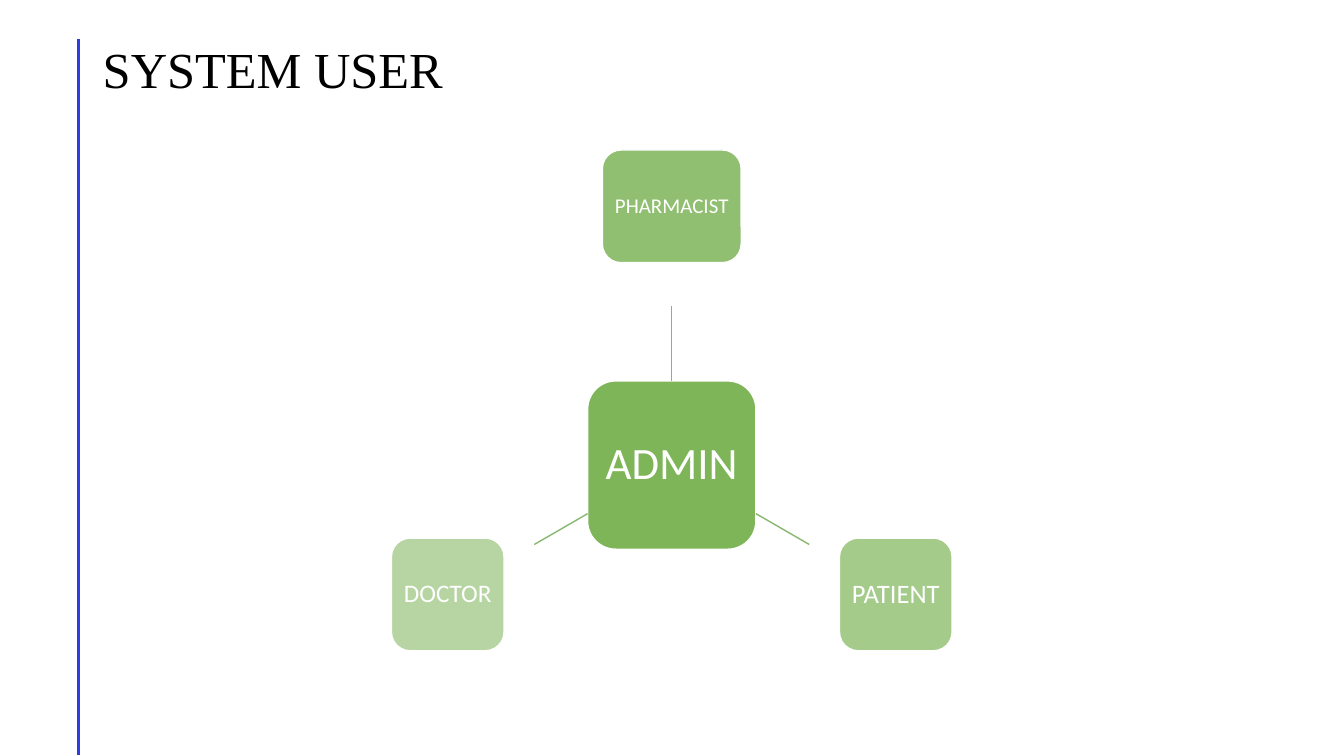
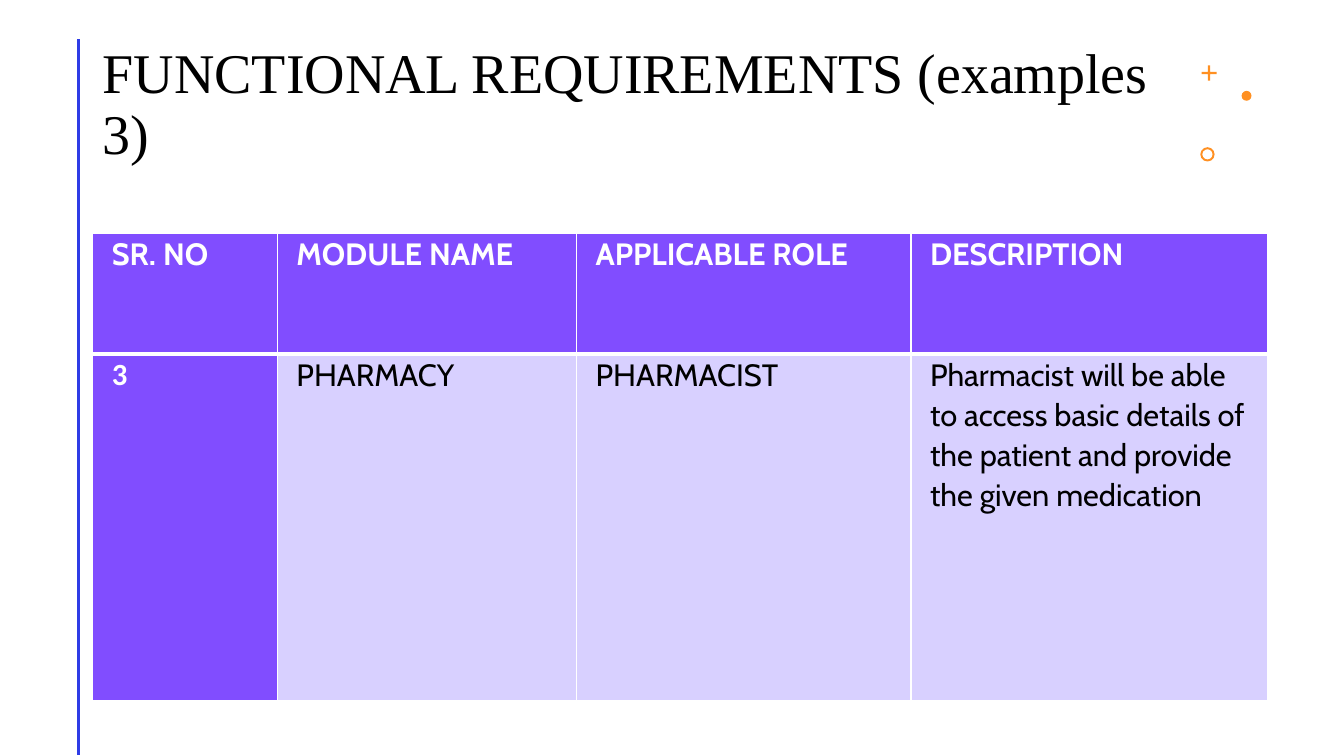
from dataclasses import dataclass
from math import cos, radians, sin

from lxml.etree import SubElement
from pptx import Presentation
from pptx.dml.color import RGBColor
from pptx.enum.shapes import MSO_AUTO_SHAPE_TYPE as Preset, MSO_CONNECTOR as Connector
from pptx.enum.text import MSO_ANCHOR as Anchor, PP_ALIGN as Align
from pptx.oxml.ns import qn
from pptx.shapes.autoshape import Shape
from pptx.slide import Slide
from pptx.table import _Cell as Cell
from pptx.text.text import TextFrame
from pptx.util import Cm, Pt


@dataclass(frozen=True)
class Theme:
    rule: str = "2E3CE6"
    accent: str = "FF9022"
    node: str = "70AD47"
    spoke: str = "88B76F"
    header: str = "814DFF"
    body: str = "D8D0FF"
    ink: str = "000000"
    paper: str = "FFFFFF"
    title_font: str = "Times New Roman"
    node_font: str = "Calibri"
    table_font: str = "Cabin"
    title_size: int = 36
    long_title_size: int = 40
    hub_size: int = 32
    table_size: int = 22


@dataclass(frozen=True)
class Satellite:
    label: str
    angle: int
    width: float
    size: int
    opacity: int


@dataclass(frozen=True)
class Ornament:
    preset: Preset
    left: float
    top: float
    size: float
    adjustment: float | None = None


THEME = Theme()

HUB_X, HUB_Y, HUB_SIDE = 16.93, 11.72, 4.24
ORBIT, SPOKE_END = 6.52, 4.0
SATELLITE_HEIGHT = 2.84
SATELLITES = [
    Satellite("PHARMACIST", -90, 3.5, 15, 77),
    Satellite("PATIENT", 30, 2.84, 19, 63),
    Satellite("DOCTOR", 150, 2.84, 18, 50),
]
ORNAMENTS = [
    Ornament(Preset.CROSS, 30.28, 1.65, 0.38, 0.43),
    Ornament(Preset.OVAL, 31.29, 2.29, 0.25),
    Ornament(Preset.DONUT, 30.25, 3.71, 0.36, 0.14),
]
COLUMN_WIDTHS = [4.65, 7.54, 8.43, 8.99]
ROW_HEIGHTS = [3.05, 8.74]
REQUIREMENTS = [
    ["SR. NO", "MODULE NAME", "APPLICABLE ROLE", "DESCRIPTION"],
    ["3", "PHARMACY", "PHARMACIST",
     "Pharmacist will be able to access basic details of the patient "
     "and provide the given medication"],
]


def write_text(frame: TextFrame, text: str, *, font: str, size: int, color: str,
               bold: bool = False, align: Align = Align.LEFT,
               spacing: float = 0.9) -> None:
    para = frame.paragraphs[0]
    para.alignment = align
    para.line_spacing = spacing
    span = para.add_run()
    span.text = text
    span.font.name = font
    span.font.size = Pt(size)
    span.font.bold = bold
    span.font.color.rgb = RGBColor.from_string(color)


def add_line(page: Slide, begin: tuple[float, float], end: tuple[float, float],
             color: str, width: float):
    line = page.shapes.add_connector(
        Connector.STRAIGHT, Cm(begin[0]), Cm(begin[1]), Cm(end[0]), Cm(end[1]))
    line.line.color.rgb = RGBColor.from_string(color)
    line.line.width = Pt(width)
    SubElement(line.element.spPr, qn("a:effectLst"))
    return line


def add_filled(page: Slide, preset: Preset, left: float, top: float,
               width: float, height: float, color: str) -> Shape:
    """Add a preset shape with a plain fill, no outline and no shadow."""
    shape = page.shapes.add_shape(preset, Cm(left), Cm(top), Cm(width), Cm(height))
    shape.shadow.inherit = False
    shape.fill.solid()
    shape.fill.fore_color.rgb = RGBColor.from_string(color)
    shape.line.fill.background()
    return shape


def add_titled_page(deck, title: str, size: int, width: float, height: float) -> Slide:
    """Add a blank page with the vertical rule and the title beside it."""
    page = deck.slides.add_slide(deck.slide_layouts[6])
    add_line(page, (1.98, 0.99), (1.98, 19.02), THEME.rule, 2)
    box = page.shapes.add_textbox(Cm(2.34), Cm(1.02), Cm(width), Cm(height))
    box.text_frame.word_wrap = True
    write_text(box.text_frame, title, font=THEME.title_font, size=size, color=THEME.ink)
    return page


def add_node(page: Slide, label: str, center: tuple[float, float], width: float,
             height: float, size: int, opacity: int) -> Shape:
    node = add_filled(page, Preset.ROUNDED_RECTANGLE, center[0] - width / 2,
                      center[1] - height / 2, width, height, THEME.node)
    color = node.element.spPr.find(qn("a:solidFill"))[0]
    SubElement(color, qn("a:alpha"), val=str(opacity * 1000))
    node.line.color.rgb = RGBColor.from_string(THEME.paper)
    node.line.width = Pt(1)
    frame = node.text_frame
    frame.word_wrap = False
    frame.vertical_anchor = Anchor.MIDDLE
    frame.margin_left = frame.margin_right = Cm(0.1)
    frame.margin_top = frame.margin_bottom = Cm(0.1)
    write_text(frame, label, font=THEME.node_font, size=size, color=THEME.paper,
               align=Align.CENTER)
    return node


def from_hub(angle: int, distance: float) -> tuple[float, float]:
    """Return the point at this angle and distance from the hub's centre."""
    turn = radians(angle)
    return HUB_X + distance * cos(turn), HUB_Y + distance * sin(turn)


def draw_system_users(deck) -> None:
    page = add_titled_page(deck, "SYSTEM USER", THEME.title_size, 29.21, 1.73)
    hub = add_node(page, "ADMIN", (HUB_X, HUB_Y), HUB_SIDE, HUB_SIDE, THEME.hub_size, 90)
    for user in SATELLITES:
        turn = radians(user.angle)
        hub_edge = HUB_SIDE / 2 / max(abs(cos(turn)), abs(sin(turn)))
        spoke = add_line(page, from_hub(user.angle, hub_edge),
                         from_hub(user.angle, SPOKE_END), THEME.spoke, 1)
        if user.angle == -90:
            spoke.begin_connect(hub, 0)
        add_node(page, user.label, from_hub(user.angle, ORBIT), user.width,
                 SATELLITE_HEIGHT, user.size, user.opacity)


def set_borders(cell: Cell, bottom_width: float) -> None:
    """Give the cell white borders; call it before the fill is set."""
    properties = cell._tc.get_or_add_tcPr()
    for side, width in (("L", 1), ("R", 1), ("T", 1), ("B", bottom_width)):
        line = SubElement(properties, qn(f"a:ln{side}"), w=str(Pt(width)))
        fill = SubElement(line, qn("a:solidFill"))
        SubElement(fill, qn("a:srgbClr"), val=THEME.paper)


def fill_cell(cell: Cell, text: str, is_header: bool, is_number: bool) -> None:
    strong = is_header or is_number
    set_borders(cell, 3 if is_header else 1)
    cell.fill.solid()
    cell.fill.fore_color.rgb = RGBColor.from_string(
        THEME.header if strong else THEME.body)
    cell.margin_left = cell.margin_right = Cm(0.48)
    cell.margin_top = cell.margin_bottom = Cm(0)
    write_text(cell.text_frame, text,
               font=THEME.node_font if is_number else THEME.table_font,
               size=THEME.table_size, bold=strong, spacing=1.07,
               color=THEME.paper if strong else THEME.ink)


def draw_requirements(deck) -> None:
    page = add_titled_page(deck, "FUNCTIONAL REQUIREMENTS (examples 3)",
                           THEME.long_title_size, 27.33, 3.68)
    for item in ORNAMENTS:
        shape = add_filled(page, item.preset, item.left, item.top, item.size,
                           item.size, THEME.accent)
        if item.adjustment is not None:
            shape.adjustments[0] = item.adjustment

    table = page.shapes.add_table(
        len(ROW_HEIGHTS), len(COLUMN_WIDTHS), Cm(2.34), Cm(5.87),
        Cm(sum(COLUMN_WIDTHS)), Cm(sum(ROW_HEIGHTS))).table
    table.horz_banding = False
    for column, width in zip(table.columns, COLUMN_WIDTHS):
        column.width = Cm(width)
    for row, height, texts in zip(table.rows, ROW_HEIGHTS, REQUIREMENTS):
        row.height = Cm(height)
        is_header = texts is REQUIREMENTS[0]
        for index, (cell, text) in enumerate(zip(row.cells, texts)):
            fill_cell(cell, text, is_header, index == 0 and not is_header)


def main() -> None:
    deck = Presentation()
    deck.slide_width, deck.slide_height = Cm(33.87), Cm(19.05)
    draw_system_users(deck)
    draw_requirements(deck)
    deck.save("out.pptx")


if __name__ == "__main__":
    main()
